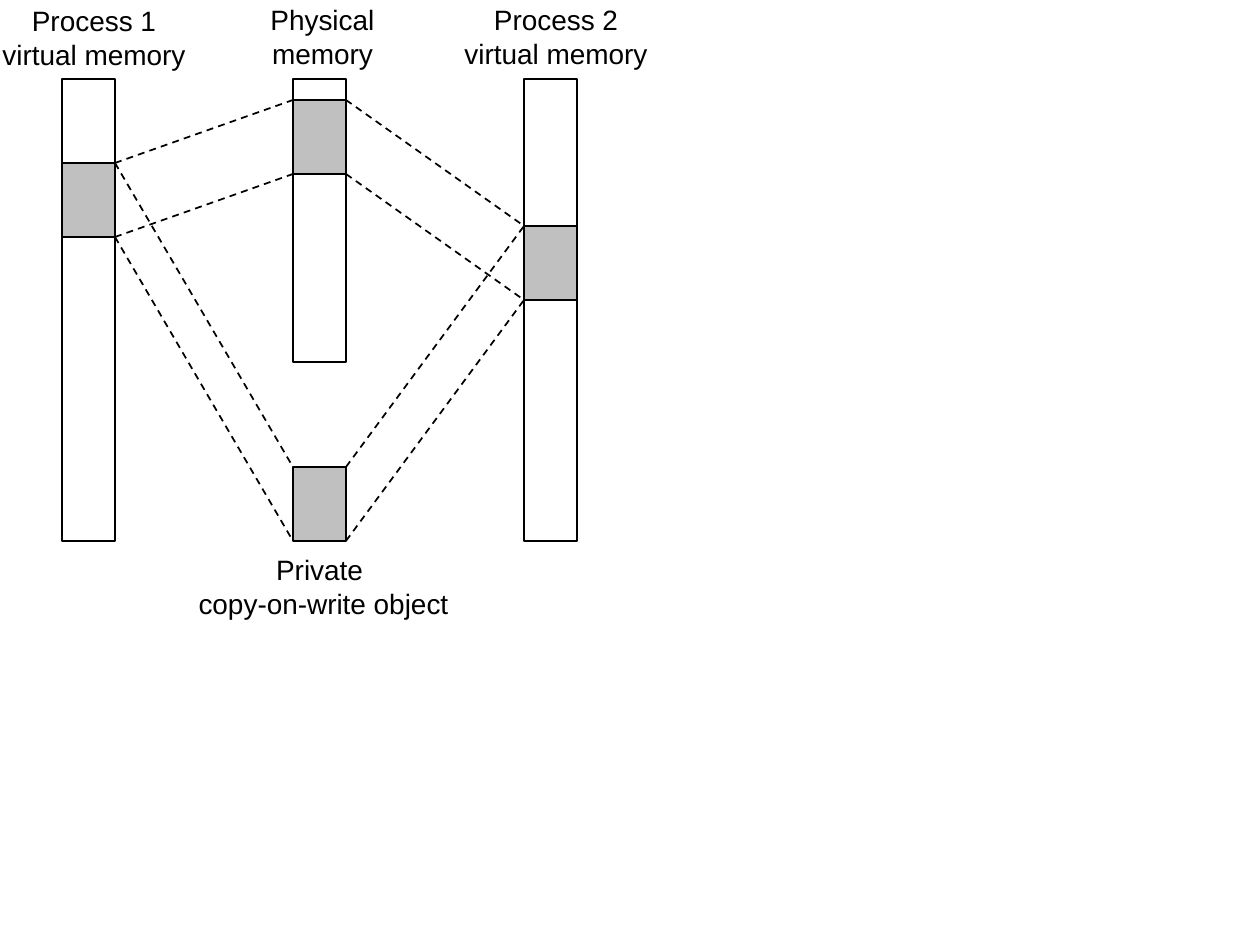
from pptx import Presentation
from pptx.dml.color import RGBColor
from pptx.enum.dml import MSO_LINE
from pptx.enum.shapes import MSO_CONNECTOR, MSO_SHAPE
from pptx.enum.text import MSO_ANCHOR, MSO_AUTO_SIZE, PP_ALIGN
from pptx.oxml.ns import qn
from pptx.util import Emu, Inches, Pt
from lxml import etree

COLORS = {"ink": "000000", "shared": "C0C0C0"}
BAR_W, SHARED_H = 53, 74
BAR_TOP, VIRTUAL_H, PHYSICAL_H = 79, 462, 283
LABEL_H = 81


def px(n):
    return Emu(round(n * 914400 / 126))


def color(name):
    return RGBColor.from_string(COLORS[name])


def add_block(s, x, y, h, fill=None):
    sp = s.shapes.add_shape(MSO_SHAPE.RECTANGLE, px(x), px(y), px(BAR_W), px(h))
    sp.shadow.inherit = False
    if fill:
        sp.fill.solid()
        sp.fill.fore_color.rgb = color(fill)
    else:
        sp.fill.background()
    sp.line.color.rgb = color("ink")
    sp.line.width = Pt(1)


def add_label(s, x, y, w, lines):
    tf = s.shapes.add_textbox(px(x), px(y), px(w), px(LABEL_H)).text_frame
    tf.word_wrap = False
    tf.auto_size = MSO_AUTO_SIZE.SHAPE_TO_FIT_TEXT
    tf.vertical_anchor = MSO_ANCHOR.MIDDLE
    tf.text = "\n".join(lines)
    for p in tf.paragraphs:
        p.alignment = PP_ALIGN.CENTER
        p.font.name = "Arial"
        p.font.size = Pt(16)
        p.font.color.rgb = color("ink")


def add_memory(s, x, h, shared_top):
    """A memory bar with the shared area inside; shared_top counts from the bar's top."""
    add_block(s, x, BAR_TOP, h)
    add_block(s, x, BAR_TOP + shared_top, SHARED_H, "shared")
    return x, BAR_TOP + shared_top


def add_mapping(s, left, right):
    """Dashed lines joining the top and bottom edges of two shared areas."""
    for dy in (0, SHARED_H):
        c = s.shapes.add_connector(
            MSO_CONNECTOR.STRAIGHT,
            px(left[0] + BAR_W), px(left[1] + dy), px(right[0]), px(right[1] + dy))
        c.line.color.rgb = color("ink")
        c.line.width = Pt(1)
        c.line.dash_style = MSO_LINE.DASH
        etree.SubElement(c._element.spPr, qn("a:effectLst"))


def add_diagram(s, x, pitch):
    middle, last = x + pitch, x + 2 * pitch

    # Memory bars and the private object
    process1 = add_memory(s, x, VIRTUAL_H, 84)
    physical = add_memory(s, middle, PHYSICAL_H, 21)
    process2 = add_memory(s, last, VIRTUAL_H, 147)
    private = middle, BAR_TOP + VIRTUAL_H - SHARED_H
    add_block(s, *private, SHARED_H, "shared")

    # Mappings from each process to both objects
    for target in (private, physical):
        add_mapping(s, process1, target)
        add_mapping(s, target, process2)

    # Labels
    add_label(s, x - 72, -3, 208, ["Process 1", "virtual memory"])
    add_label(s, middle - 35, -4, 129, ["Physical", "memory"])
    add_label(s, last - 72, -4, 208, ["Process 2", "virtual memory"])
    add_label(s, middle - 107, 546, 275, ["Private ", "copy-on-write object"])


def main():
    prs = Presentation()
    prs.slide_width, prs.slide_height = Inches(10), Inches(7.5)
    s = prs.slides.add_slide(prs.slide_layouts[6])
    add_diagram(s, 62, 231)
    prs.save("out.pptx")


if __name__ == "__main__":
    main()
